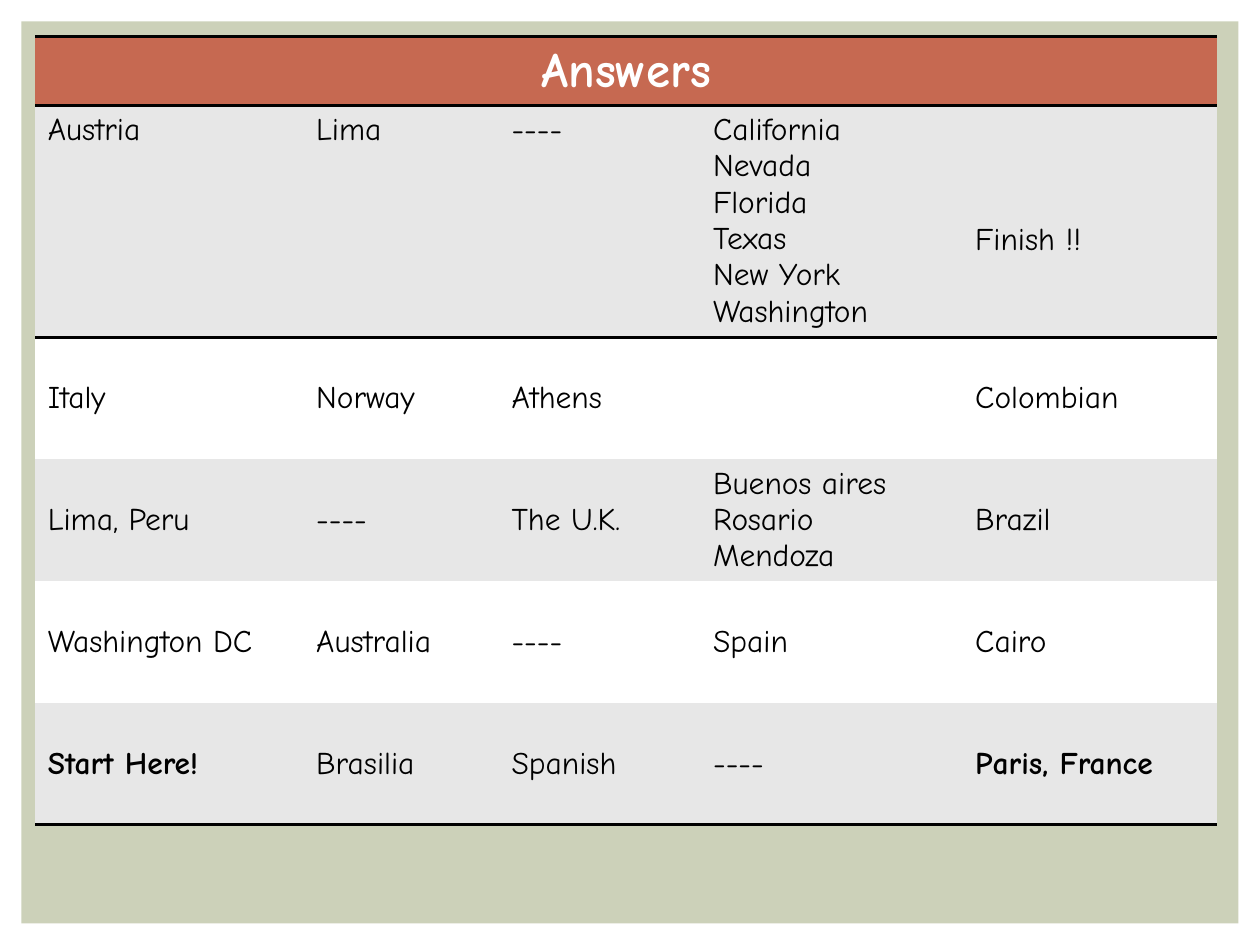
from dataclasses import dataclass

from lxml import etree
from pptx import Presentation
from pptx.dml.color import RGBColor
from pptx.enum import shapes, text
from pptx.oxml.ns import qn
from pptx.util import Emu, Inches, Pt

FONT = "Comic Neue"
BLACK, WHITE, GREY = "000000", "FFFFFF", "E7E7E7"
OLIVE, TERRACOTTA = "CCD1B9", "C66951"
PLAIN_STYLE = "{2D5ABB26-0587-4C30-8999-92F81FD0307C}"
COLUMNS = (2.13, 1.55, 1.6, 2.08, 2.02)
ROWS = (0.54, 1.84) + (0.967,) * 4
LINE = 0.29
INSET = 0.05


@dataclass(frozen=True)
class Answer:
    lines: tuple[str, ...] = ()
    bold: bool = False
    skipped_lines: int = 0


@dataclass(frozen=True)
class Look:
    size: int
    color: str
    align: text.PP_ALIGN


TITLE = Look(28, WHITE, text.PP_ALIGN.CENTER)
BODY = Look(18, BLACK, text.PP_ALIGN.LEFT)


def one(line: str, bold: bool = False) -> Answer:
    return Answer((line,), bold)


STATES = ("California", "Nevada", "Florida", "Texas", "New York Washington")
CITIES = ("Buenos aires", "Rosario", "Mendoza")
ANSWERS = (
    (one("Austria"), one("Lima"), one("----"), Answer(STATES),
     Answer(("Finish !!",), skipped_lines=3)),
    (one("Italy"), one("Norway"), one("Athens"), Answer(), one("Colombian")),
    (one("Lima, Peru"), one("----"), one("The U.K."), Answer(CITIES), one("Brazil")),
    (one("Washington DC"), one("Australia"), one("----"), one("Spain"), one("Cairo")),
    (one("Start Here!", True), one("Brasilia"), one("Spanish"), one("----"),
     one("Paris, France", True)),
)


def paint(target, color: str) -> None:
    target.solid()
    target.fore_color.rgb = RGBColor.from_string(color)


def rule(cell, edges: tuple[str, ...]) -> None:
    properties = cell._tc.get_or_add_tcPr()
    for edge in edges:
        line = etree.SubElement(properties, qn(f"a:{edge}"), w=str(Pt(2)))
        fill = etree.SubElement(line, qn("a:solidFill"))
        etree.SubElement(fill, qn("a:srgbClr"), val=BLACK)


def write(cell, answer: Answer, look: Look) -> None:
    frame = cell.text_frame
    for index, line in enumerate(answer.lines):
        paragraph = frame.add_paragraph() if index else frame.paragraphs[0]
        paragraph.alignment = look.align
        run = paragraph.add_run()
        run.text = line
        run.font.name = FONT
        run.font.size = Pt(look.size)
        run.font.bold = answer.bold
        run.font.color.rgb = RGBColor.from_string(look.color)


def draw_answers(slide, width: Emu, height: Emu) -> None:
    table = slide.shapes.add_table(
        len(ROWS), len(COLUMNS), int(width * 0.028), int(height * 0.039),
        Inches(sum(COLUMNS)), Inches(sum(ROWS))).table
    table._tbl.tblPr.find(qn("a:tableStyleId")).text = PLAIN_STYLE
    for column, share in zip(table.columns, COLUMNS):
        column.width = Inches(share)
    for row, share in zip(table.rows, ROWS):
        row.height = Inches(share)

    heading = table.cell(0, 0)
    heading.merge(table.cell(0, len(COLUMNS) - 1))
    for cell in table.rows[0].cells:
        rule(cell, ("lnT", "lnB"))
        paint(cell.fill, TERRACOTTA)
    write(heading, one("Answers", True), TITLE)

    for row, answers in enumerate(ANSWERS, start=1):
        for column, answer in enumerate(answers):
            cell = table.cell(row, column)
            if row == 1:
                rule(cell, ("lnT",))
            if row == len(ANSWERS):
                rule(cell, ("lnB",))
            paint(cell.fill, GREY if row % 2 else WHITE)
            cell.margin_top = Inches(INSET + answer.skipped_lines * LINE)
            cell.vertical_anchor = (
                text.MSO_ANCHOR.TOP if row == 1 else text.MSO_ANCHOR.MIDDLE)
            write(cell, answer, BODY)


def draw_backdrop(slide, width: Emu, height: Emu) -> None:
    margin = int(width * 0.017)
    backdrop = slide.shapes.add_shape(
        shapes.MSO_SHAPE.RECTANGLE, margin, margin,
        width - 2 * margin, height - 2 * margin)
    backdrop.shadow.inherit = False
    paint(backdrop.fill, OLIVE)
    backdrop.line.fill.background()


def main() -> None:
    deck = Presentation()
    deck.slide_width, deck.slide_height = Inches(10), Inches(7.5)
    slide = deck.slides.add_slide(deck.slide_layouts[6])
    paint(slide.background.fill, WHITE)
    draw_backdrop(slide, deck.slide_width, deck.slide_height)
    draw_answers(slide, deck.slide_width, deck.slide_height)
    deck.save("out.pptx")


if __name__ == "__main__":
    main()
